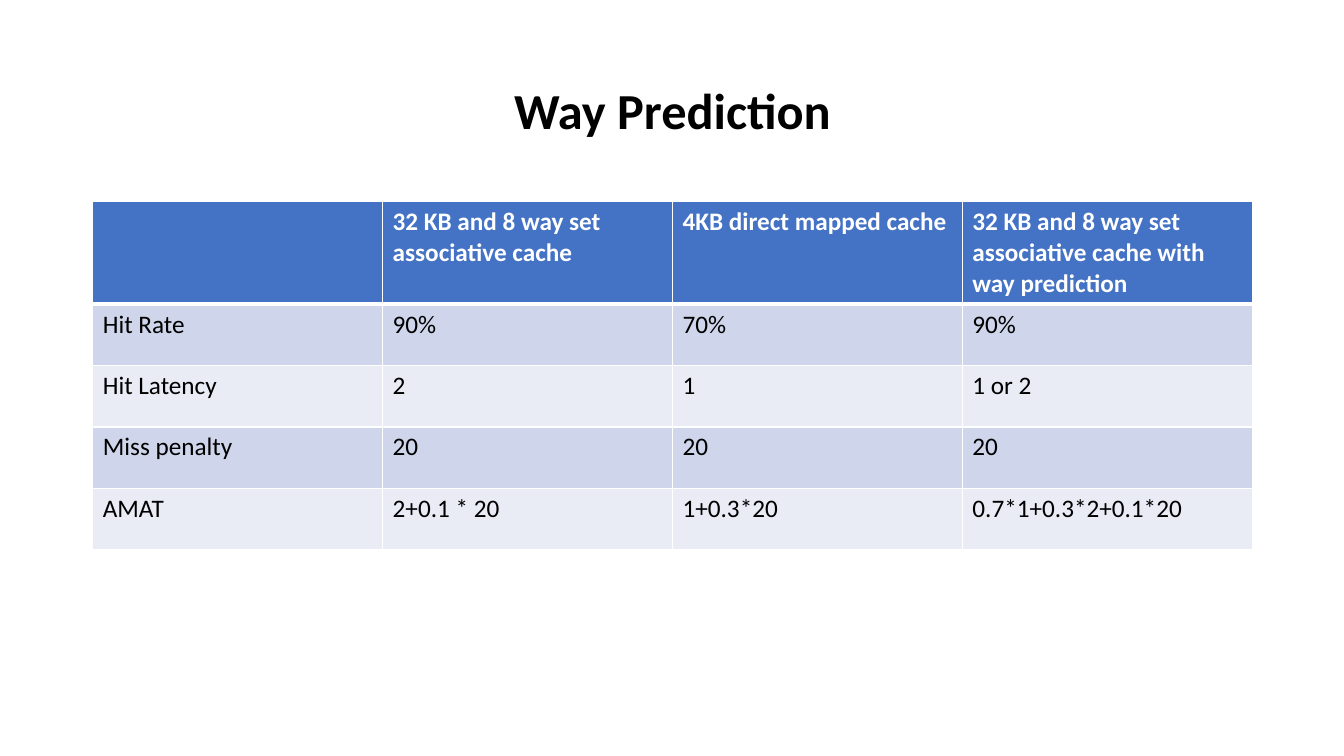
from lxml import etree
from pptx import Presentation
from pptx import util as u
from pptx.dml.color import RGBColor
from pptx.enum import text
from pptx.oxml import ns

BLACK = RGBColor(0x00, 0x00, 0x00)
WHITE = RGBColor(0xFF, 0xFF, 0xFF)
BLUE = RGBColor(0x44, 0x72, 0xC4)
BAND_DARK = RGBColor(0xCF, 0xD5, 0xEA)
BAND_LIGHT = RGBColor(0xE9, 0xEB, 0xF5)

CACHE_COMPARISON = [
    ["", "32 KB and 8 way set associative cache", "4KB direct mapped cache",
     "32 KB and 8 way set associative cache with way prediction"],
    ["Hit Rate", "90%", "70%", "90%"],
    ["Hit Latency", "2", "1", "1 or 2"],
    ["Miss penalty", "20", "20", "20"],
    ["AMAT", "2+0.1 * 20", "1+0.3*20", "0.7*1+0.3*2+0.1*20"],
]


class SlideBuilder:
    """Holds the style and the slide; positions are in grid columns and rows."""

    font_name = "Calibri"
    margin = u.Inches(0.92)
    column = u.Inches(11.5 / 4)
    row = u.Inches(0.2)

    def __init__(self, presentation):
        self.slide = presentation.slides.add_slide(presentation.slide_layouts[5])

    def rows(self, count):
        return round(count * self.row)

    def style(self, paragraph, size, color, bold):
        for font in [paragraph.font] + [run.font for run in paragraph.runs]:
            font.name = self.font_name
            font.size = u.Pt(size)
            font.bold = bold
            font.color.rgb = color

    def title(self, words, top, height, columns):
        shape = self.slide.shapes.title
        shape.left, shape.top = self.margin, self.rows(top)
        shape.width, shape.height = columns * self.column, self.rows(height)
        frame = shape.text_frame
        frame.text = words
        frame.word_wrap = True
        frame.vertical_anchor = text.MSO_ANCHOR.MIDDLE
        paragraph = frame.paragraphs[0]
        paragraph.alignment = text.PP_ALIGN.CENTER
        paragraph.line_spacing = 0.9
        self.style(paragraph, 36, BLACK, True)

    def border(self, cell, side, points):
        line = etree.SubElement(cell._tc.get_or_add_tcPr(), ns.qn(f"a:ln{side}"),
                                w=str(u.Pt(points)))
        fill = etree.SubElement(line, ns.qn("a:solidFill"))
        etree.SubElement(fill, ns.qn("a:srgbClr"), val=str(WHITE))

    def cell(self, cell, words, fill, color, bold, edges):
        """Edges maps each side (L, R, T, B) to its line width in points."""
        for side, points in edges.items():
            self.border(cell, side, points)
        cell.fill.solid()
        cell.fill.fore_color.rgb = fill
        cell.text_frame.text = words
        self.style(cell.text_frame.paragraphs[0], 18, color, bold)

    def table(self, records, top, header_height, body_height):
        heights = [header_height] + [body_height] * (len(records) - 1)
        columns = len(records[0])
        table = self.slide.shapes.add_table(
            len(records), columns, self.margin, self.rows(top),
            columns * self.column, self.rows(sum(heights))).table
        for table_column in table.columns:
            table_column.width = self.column
        for index, (record, height) in enumerate(zip(records, heights)):
            table.rows[index].height = self.rows(height)
            header = index == 0
            band = BAND_DARK if index % 2 else BAND_LIGHT
            edges = {"L": 1, "R": 1, "T": 3 if index == 1 else 1, "B": 3 if header else 1}
            for position, words in enumerate(record):
                self.cell(table.cell(index, position), words,
                          BLUE if header else band,
                          WHITE if header else BLACK, header, edges)


def main():
    presentation = Presentation()
    presentation.slide_width = u.Inches(13.33)
    presentation.slide_height = u.Inches(7.5)
    builder = SlideBuilder(presentation)
    builder.title("Way Prediction", top=2, height=7.25, columns=4)
    builder.table(CACHE_COMPARISON, top=10, header_height=5, body_height=3.05)
    presentation.save("out.pptx")


if __name__ == "__main__":
    main()
